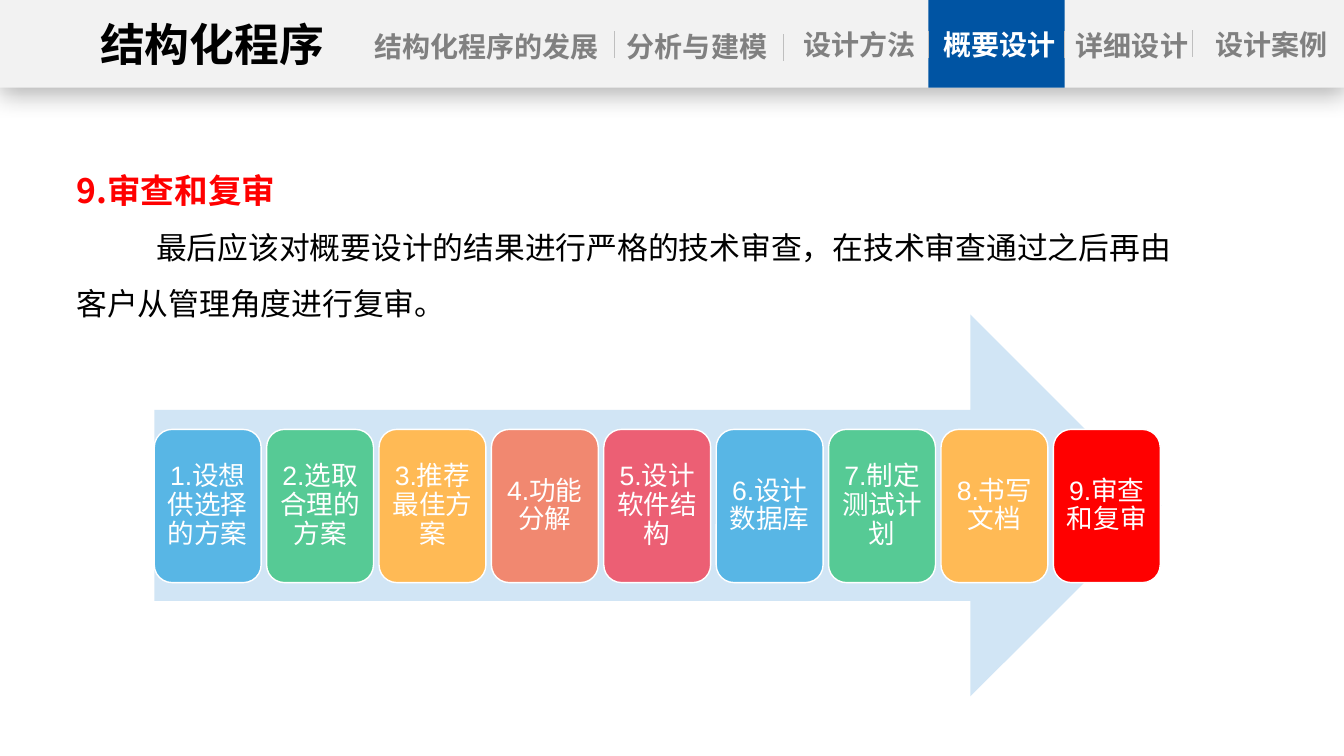
from dataclasses import dataclass

from lxml import etree
from pptx import Presentation
from pptx.dml.color import RGBColor
from pptx.enum.shapes import MSO_CONNECTOR, MSO_SHAPE
from pptx.enum.text import MSO_ANCHOR, MSO_AUTO_SIZE, PP_ALIGN
from pptx.oxml.ns import qn
from pptx.util import Emu, Inches, Pt

RECTANGLE = MSO_SHAPE.RECTANGLE
ROUNDED = MSO_SHAPE.ROUNDED_RECTANGLE
ARROW = MSO_SHAPE.RIGHT_ARROW
STRAIGHT = MSO_CONNECTOR.STRAIGHT
LEFT, CENTER = PP_ALIGN.LEFT, PP_ALIGN.CENTER
TOP, MIDDLE = MSO_ANCHOR.TOP, MSO_ANCHOR.MIDDLE
GROW = MSO_AUTO_SIZE.SHAPE_TO_FIT_TEXT


@dataclass(frozen=True)
class Theme:
    latin: str = "Arial"
    chinese: str = "Noto Sans CJK SC"
    black: str = "000000"
    white: str = "FFFFFF"
    red: str = "FF0000"
    header: str = "F2F2F2"
    active: str = "0054A3"
    muted: str = "808080"
    divider: str = "BFBFBF"
    arrow: str = "D1E5F5"
    cards: tuple = ("58B6E5", "56CA95", "FFBA55", "F18870", "EC5F74")
    title_size: int = 32
    tab_size: int = 20
    heading_size: int = 24
    body_size: int = 22
    card_size: int = 19


class SlideBuilder:
    """Draws on one slide; positions and sizes are percentages of the slide."""

    def __init__(self, deck, theme):
        self.deck = deck
        self.theme = theme
        self.slide = deck.slides.add_slide(deck.slide_layouts[6])

    def across(self, share):
        return Emu(round(self.deck.slide_width * share / 100))

    def down(self, share):
        return Emu(round(self.deck.slide_height * share / 100))

    def place(self, left, top, width, height):
        return self.across(left), self.down(top), self.across(width), self.down(height)

    def shape(self, kind, area, fill, outline=None):
        shape = self.slide.shapes.add_shape(kind, *self.place(*area))
        shape.shadow.inherit = False
        shape.fill.solid()
        shape.fill.fore_color.rgb = RGBColor.from_string(fill)
        if outline:
            shape.line.color.rgb = RGBColor.from_string(outline)
            shape.line.width = Pt(1)
        else:
            shape.line.fill.background()
        return shape

    def drop_shadow(self, shape):
        effects = shape.element.spPr.find(qn("a:effectLst"))
        shadow = etree.SubElement(effects, qn("a:outerShdw"), blurRad=str(Pt(18)),
                                  dist=str(Pt(4)), dir="5400000", rotWithShape="0")
        color = etree.SubElement(shadow, qn("a:srgbClr"), val=self.theme.black)
        etree.SubElement(color, qn("a:alpha"), val="29000")

    def divider(self, left, top, height):
        x = self.across(left)
        line = self.slide.shapes.add_connector(
            STRAIGHT, x, self.down(top), x, self.down(top + height))
        line.line.color.rgb = RGBColor.from_string(self.theme.divider)
        line.line.width = Pt(0.5)
        etree.SubElement(line.element.spPr, qn("a:effectLst"))

    def frame(self, shape, side, edge, anchor=TOP):
        """Set the margins (inches) and wrapping of a shape's text."""
        frame = shape.text_frame
        frame.word_wrap = True
        frame.vertical_anchor = anchor
        frame.margin_left = frame.margin_right = Inches(side)
        frame.margin_top = frame.margin_bottom = Inches(edge)
        return frame

    def text_box(self, area, side=0.0):
        box = self.slide.shapes.add_textbox(*self.place(*area))
        frame = self.frame(box, side, 0.05)
        frame.auto_size = GROW
        return frame

    def add_text(self, para, text, size, color, bold=False, align=CENTER,
                 spacing=None, latin=None):
        para.alignment = align
        if spacing:
            para.line_spacing = spacing
        span = para.add_run()
        span.text = text
        span.font.size = Pt(size)
        span.font.bold = bold
        span.font.color.rgb = RGBColor.from_string(color)
        span.font.name = latin or self.theme.latin
        etree.SubElement(span._r.get_or_add_rPr(), qn("a:ea"),
                         typeface=self.theme.chinese)

    def label(self, area, text, size, color):
        self.add_text(self.text_box(area).paragraphs[0], text, size, color, bold=True)

    def card(self, area, text, fill):
        card = self.shape(ROUNDED, area, fill, self.theme.white)
        frame = self.frame(card, 0.08, 0.08, MIDDLE)
        self.add_text(frame.paragraphs[0], text, self.theme.card_size,
                      self.theme.white, spacing=0.9)


STEPS = ("1.设想供选择的方案", "2.选取合理的方案", "3.推荐最佳方案", "4.功能分解",
         "5.设计软件结构", "6.设计数据库", "7.制定测试计划", "8.书写文档", "9.审查和复审")
ACTIVE_TAB = "概要设计"
TABS = (  # text, left, top, width
    ("结构化程序的发展", 27.3, 3.2, 17.78),
    ("分析与建模", 46.35, 3.2, 11.03),
    ("设计方法", 58.43, 2.93, 11.03),
    (ACTIVE_TAB, 68.85, 2.93, 11.03),
    ("详细设计", 78.53, 3.07, 11.4),
    ("设计案例", 89.1, 2.93, 11.03),
)
DIVIDERS = ((45.68, 4.13), (58.28, 4.53), (69.08, 4.13), (79.2, 4.13), (88.73, 4))


def draw_body(builder):
    theme = builder.theme
    frame = builder.text_box((4.95, 19.2, 83.03, 23.33), side=0.1)
    builder.add_text(frame.paragraphs[0], STEPS[-1], theme.heading_size, theme.red,
                     bold=True, align=LEFT, spacing=1.5, latin=theme.chinese)
    para = frame.add_paragraph()
    builder.add_text(para, "最后应该对概要设计的结果进行严格的技术审查，在技术审查通过之后再由客户从管理角度进行复审。",
                     theme.body_size, theme.black, align=LEFT, spacing=1.5,
                     latin=theme.chinese)
    properties = para._p.get_or_add_pPr()
    properties.set("marL", "0")
    properties.set("indent", str(Inches(0.79)))


def draw_process(builder):
    theme = builder.theme
    left, span, width = 11.48, 74.85, 7.95
    pitch = (span - width) / (len(STEPS) - 1)
    builder.shape(ARROW, (left, 41.6, 74.93, 50.53), theme.arrow)
    for index, step in enumerate(STEPS):
        current = index == len(STEPS) - 1
        fill = theme.red if current else theme.cards[index % len(theme.cards)]
        builder.card((left + index * pitch, 56.8, width, 20.27), step, fill)


def draw_header(builder):
    theme = builder.theme
    height = 11.6
    builder.drop_shadow(builder.shape(RECTANGLE, (0, 0, 100, height), theme.header))
    builder.shape(RECTANGLE, (69.08, 0, 10.13, height), theme.active)
    for left, top in DIVIDERS:
        builder.divider(left, top, 3.6)
    for text, left, top, width in TABS:
        color = theme.white if text == ACTIVE_TAB else theme.muted
        builder.label((left, top, width, 5.87), text, theme.tab_size, color)
    builder.label((6.83, 1.6, 17.93, 8.53), "结构化程序", theme.title_size, theme.black)


def main():
    deck = Presentation()
    deck.slide_width, deck.slide_height = Inches(13.33), Inches(7.5)
    builder = SlideBuilder(deck, Theme())
    draw_body(builder)
    draw_process(builder)
    draw_header(builder)
    deck.save("out.pptx")


if __name__ == "__main__":
    main()
